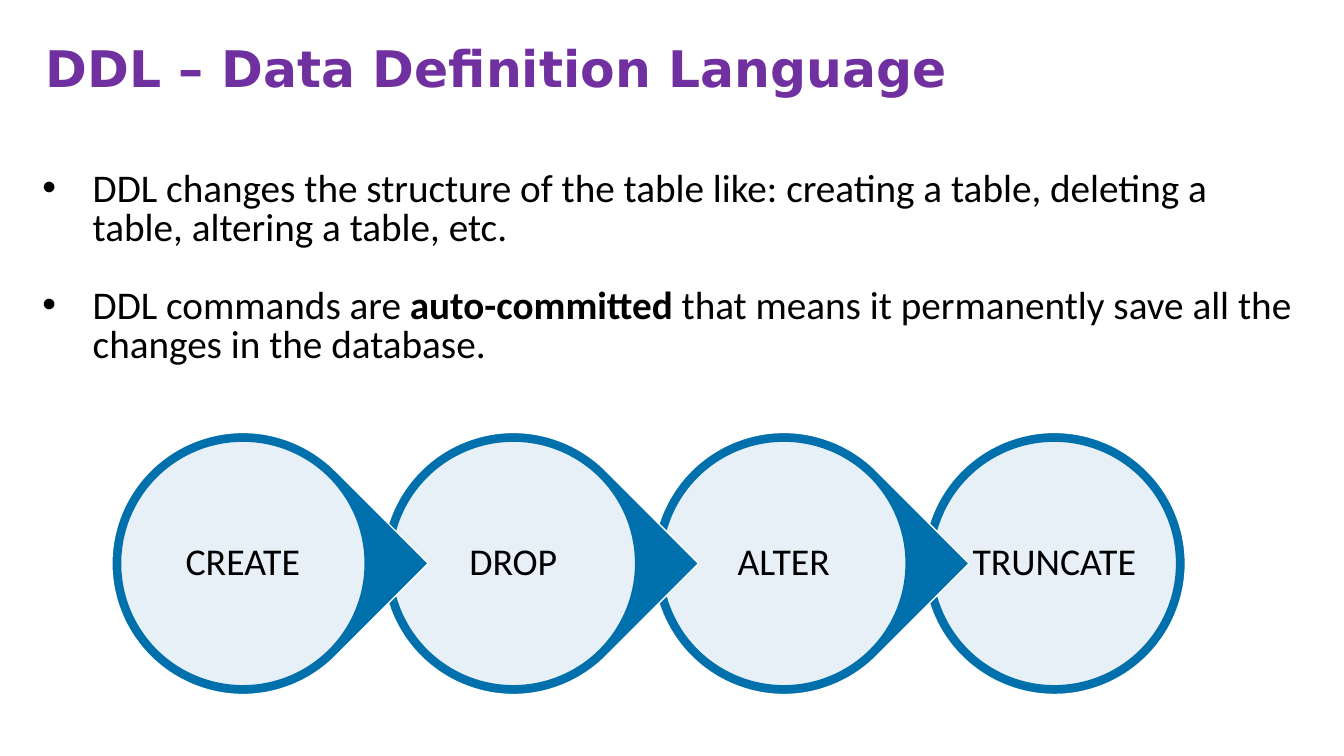
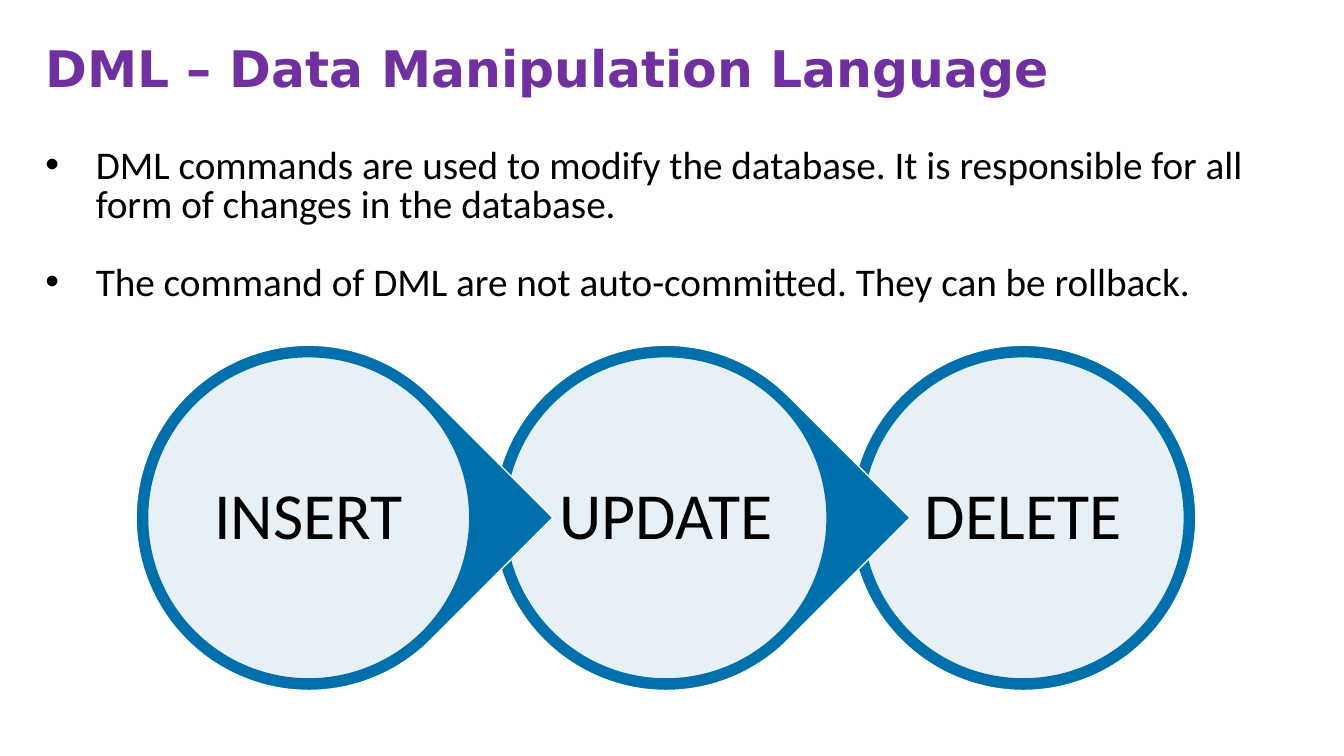
"""Build two slides that introduce the DDL and DML command groups of SQL."""
from lxml import etree
from pptx import Presentation
from pptx.dml.color import RGBColor
from pptx.enum import shapes, text
from pptx.oxml import ns
from pptx.util import Pt

PURPLE, BLUE, WHITE, BLACK = "7030A0", "0070AD", "FFFFFF", "000000"

SLIDES = [
    {
        "title": "DDL – Data Definition Language",
        "bullets": [
            "DDL changes the structure of the table like: creating a table, deleting a table, altering a table, etc.",
            "DDL commands are **auto-committed** that means it permanently save all the changes in the database.",
        ],
        "body": (30.24, 122),
        "commands": ["CREATE", "DROP", "ALTER", "TRUNCATE"],
        "chain": {"left": 79.9, "top": 308.9, "size": 187.2, "pitch": 193.2, "font": 27},
    },
    {
        "title": "DML – Data Manipulation Language",
        "bullets": [
            "DML commands are used to modify the database. It is responsible for all form of changes in the database.",
            "The command of DML are not auto-committed. They can be rollback.",
        ],
        "body": (32.4, 105.6),
        "commands": ["INSERT", "UPDATE", "DELETE"],
        "chain": {"left": 97.2, "top": 246.6, "size": 246.6, "pitch": 255.2, "font": 47},
    },
]


def color(value):
    return RGBColor.from_string(value)


def write(shape, lines, size, font="Calibri", ink=BLACK, bold=False, align=text.PP_ALIGN.LEFT,
          anchor=text.MSO_ANCHOR.TOP, spacing=0.9, gap=0, indent=0, wrap=True):
    frame = shape.text_frame
    frame.word_wrap = wrap
    frame.auto_size = text.MSO_AUTO_SIZE.NONE
    frame.vertical_anchor = anchor
    frame.margin_left = frame.margin_top = frame.margin_right = frame.margin_bottom = 0
    for index, line in enumerate(lines):
        paragraph = frame.add_paragraph() if index else frame.paragraphs[0]
        paragraph.alignment = align
        paragraph.line_spacing = spacing
        paragraph.space_before = Pt(gap if index else 0)
        if indent:
            properties = paragraph._p.get_or_add_pPr()
            properties.set("marL", str(Pt(indent)))
            properties.set("indent", str(Pt(-indent)))
        for part, words in enumerate(line.split("**")):
            run = paragraph.add_run()
            run.text = words
            run.font.name = font
            run.font.size = Pt(size)
            run.font.bold = bold or part % 2 == 1
            run.font.color.rgb = color(ink)


presentation = Presentation()
presentation.slide_width, presentation.slide_height = Pt(960), Pt(540)

for content in SLIDES:
    slide = presentation.slides.add_slide(presentation.slide_layouts[1])
    title, body = slide.placeholders
    title.left, title.top, title.width, title.height = Pt(32.4), Pt(31.7), Pt(867.6), Pt(67.7)
    write(title, [content["title"]], 36, font="DejaVu Sans", ink=PURPLE, bold=True)

    body.left, body.top = (Pt(length) for length in content["body"])
    body.width, body.height = Pt(895.7), Pt(180)
    write(body, content["bullets"], 28, spacing=Pt(28), gap=28, indent=36)

    chain = content["chain"]
    size = chain["size"]
    inset = size / 30
    last = len(content["commands"]) - 1
    for index, command in reversed(list(enumerate(content["commands"]))):
        left = chain["left"] + index * chain["pitch"]
        kind = shapes.MSO_SHAPE.OVAL if index == last else shapes.MSO_SHAPE.TEAR
        ring = slide.shapes.add_shape(kind, Pt(left), Pt(chain["top"]), Pt(size), Pt(size))
        ring.rotation = 0 if index == last else 45
        disc = slide.shapes.add_shape(
            shapes.MSO_SHAPE.OVAL, Pt(left + inset), Pt(chain["top"] + inset),
            Pt(size - 2 * inset), Pt(size - 2 * inset))
        for shape, fill, line in ((ring, BLUE, WHITE), (disc, WHITE, BLUE)):
            shape.shadow.inherit = False
            shape.fill.solid()
            shape.fill.fore_color.rgb = color(fill)
            shape.line.color.rgb = color(line)
            shape.line.width = Pt(1)
        tint = disc._element.spPr.find(ns.qn("a:solidFill")).find(ns.qn("a:srgbClr"))
        etree.SubElement(tint, ns.qn("a:alpha"), val="90000")
        write(disc, [command], chain["font"], align=text.PP_ALIGN.CENTER,
              anchor=text.MSO_ANCHOR.MIDDLE, wrap=False)

presentation.save("out.pptx")
